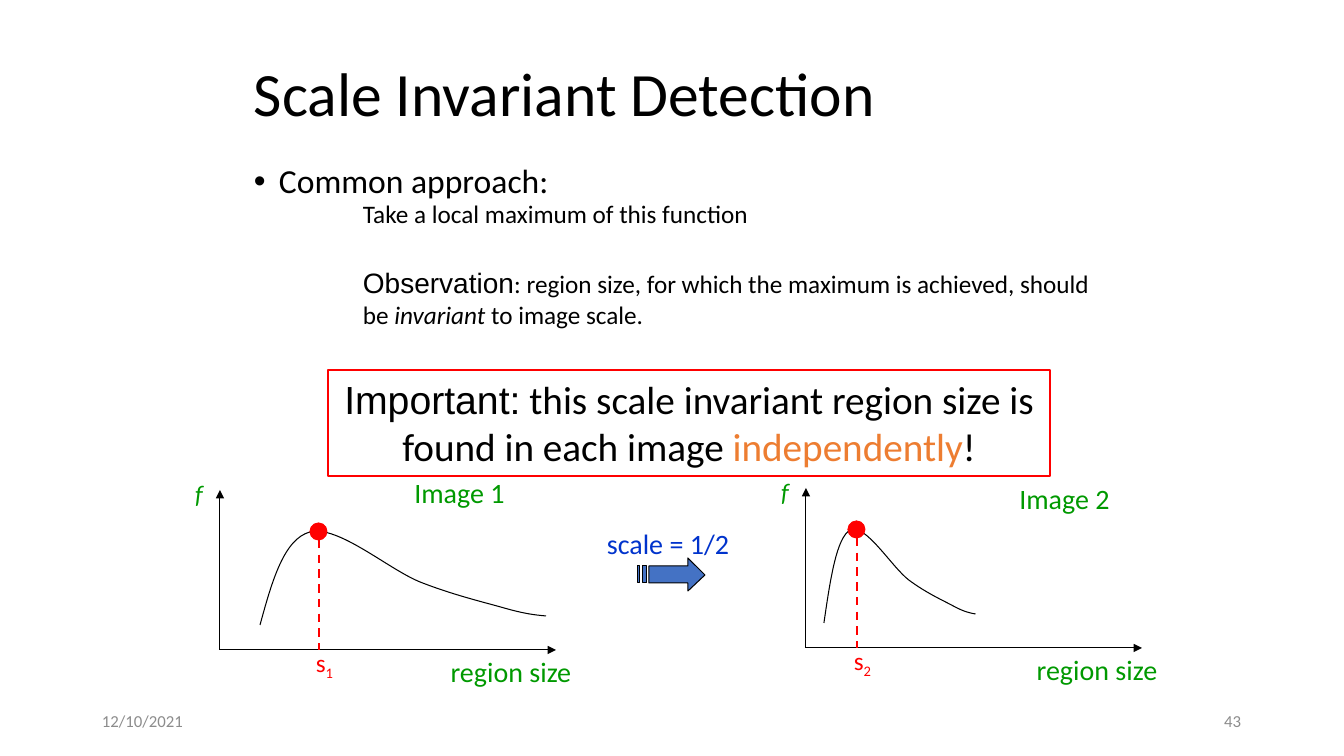
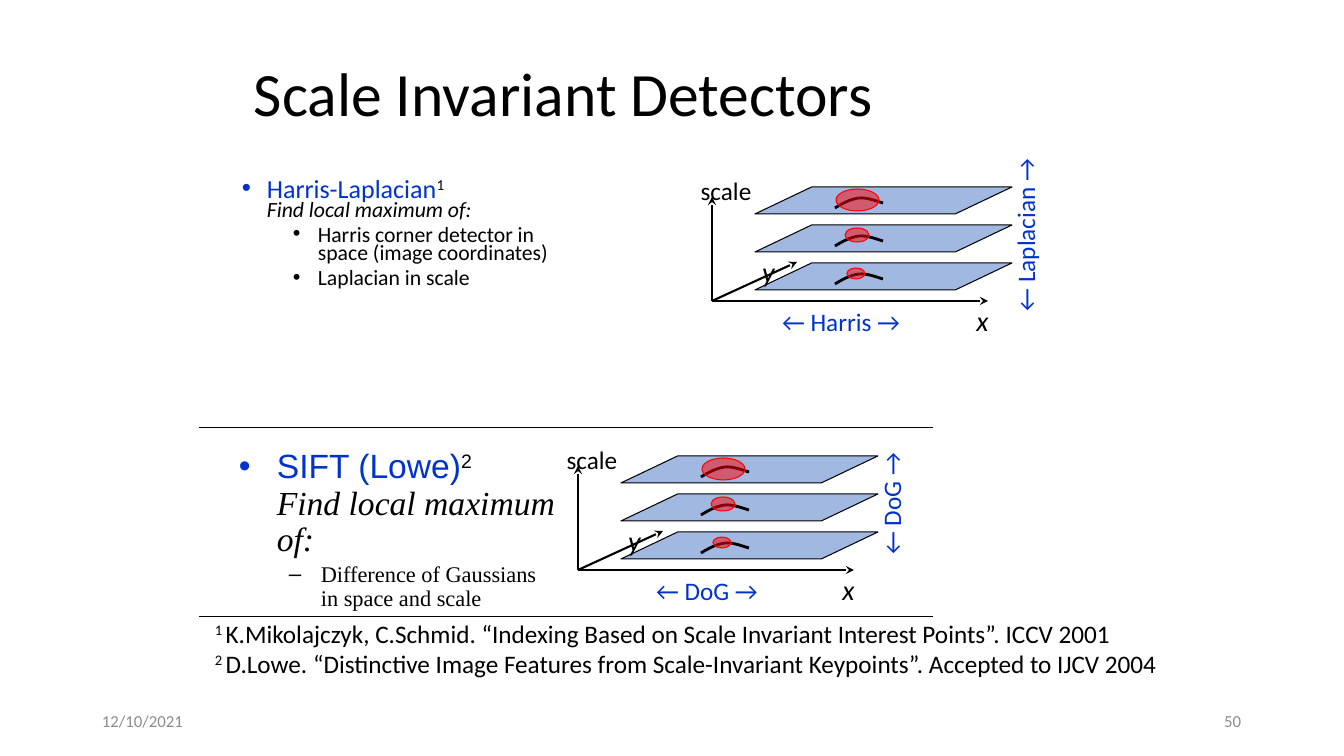
from lxml import etree
from pptx import Presentation
from pptx.dml.color import RGBColor
from pptx.enum.dml import MSO_LINE
from pptx.enum.shapes import MSO_CONNECTOR, MSO_SHAPE
from pptx.enum.text import MSO_ANCHOR, PP_ALIGN
from pptx.oxml.ns import qn
from pptx.util import Emu, Pt

PIXEL = 914400 / 100.8
BLACK, RED, GREEN, BLUE = "000000", "FF0000", "009900", "0033CC"
STEEL, ORANGE, GRAY = "4472C4", "ED7D31", "8C8C8C"
BODY_FONT, SANS_FONT, SERIF_FONT = "Calibri", "Arial", "Times New Roman"
LEFT, CENTER, RIGHT = PP_ALIGN.LEFT, PP_ALIGN.CENTER, PP_ALIGN.RIGHT
TOP, MIDDLE = MSO_ANCHOR.TOP, MSO_ANCHOR.MIDDLE
RECTANGLE, ELLIPSE = MSO_SHAPE.RECTANGLE, MSO_SHAPE.OVAL
PARALLELOGRAM = MSO_SHAPE.PARALLELOGRAM
STRAIGHT, DASH = MSO_CONNECTOR.STRAIGHT, MSO_LINE.DASH
BREAK = ("\n", {})

RESPONSE = [(0, 100), (12, 56), (24, 14), (50, 7), (78, 0), (128, 44), (160, 57),
            (193, 70), (223, 77), (244, 83), (265, 89), (275, 90), (286, 91)]
RIDGE = [(0, 11), (8, 6), (16, 2), (24, 1), (32, 0), (44, 5), (48, 6)]
ARROW = [[(50, 0), (50, 8), (11, 8), (11, 25), (50, 25), (50, 33), (67, 17)],
         [(5, 8), (5, 25), (9, 25), (9, 8)],
         [(0, 8), (0, 25), (2, 25), (2, 8)]]


def px(length):
    """Turn pixels into EMU."""
    return Emu(round(length * PIXEL))


def color(value):
    """Turn a hex string into a colour."""
    return RGBColor.from_string(value)


def add_run(paragraph, text, size=18, fill=BLACK, font=BODY_FONT, italic=False, base=0):
    """Add one styled run, or a line break."""
    if text == "\n":
        paragraph.add_line_break()
        return
    run = paragraph.add_run()
    run.text = text
    run.font.size = Pt(size)
    run.font.name = font
    run.font.italic = italic
    run.font.color.rgb = color(fill)
    if base:
        run.font._element.set("baseline", str(base * 1000))


def add_bullet(paragraph, character, margin, hanging):
    """Give a paragraph a bullet and a hanging indent in pixels."""
    properties = paragraph._p.get_or_add_pPr()
    properties.set("marL", str(px(margin)))
    properties.set("indent", str(-px(hanging)))
    etree.SubElement(properties, qn("a:buFont")).set("typeface", SANS_FONT)
    etree.SubElement(properties, qn("a:buChar")).set("char", character)


def write(frame, paragraphs, align=LEFT, anchor=TOP, wrap=True, spacing=None):
    """Fill a text frame with paragraphs of (runs, space before, bullet)."""
    frame.word_wrap = wrap
    frame.vertical_anchor = anchor
    for index, (runs, before, bullet) in enumerate(paragraphs):
        paragraph = frame.add_paragraph() if index else frame.paragraphs[0]
        paragraph.alignment = align
        paragraph.space_before = Pt(before)
        if spacing:
            paragraph.line_spacing = spacing
        if bullet:
            add_bullet(paragraph, *bullet)
        for text, style in runs:
            add_run(paragraph, text, **style)


def add_text(slide, box, paragraphs, **layout):
    """Add a text box."""
    shape = slide.shapes.add_textbox(*map(px, box))
    write(shape.text_frame, paragraphs, **layout)
    return shape


def add_label(slide, box, *runs):
    """Add a centred one-line label."""
    return add_text(slide, box, [(runs, 0, None)], align=CENTER, wrap=False)


def paint(shape, fill=None, line=BLACK, width=0.75):
    """Set the fill and outline of a shape and drop its shadow."""
    shape.shadow.inherit = False
    if fill:
        shape.fill.solid()
        shape.fill.fore_color.rgb = color(fill)
    else:
        shape.fill.background()
    shape.line.color.rgb = color(line)
    shape.line.width = Pt(width)


def add_figure(slide, kind, box, fill=None, line=BLACK, width=0.75, alpha=None):
    """Add a preset shape with an optional translucent fill."""
    shape = slide.shapes.add_shape(kind, *map(px, box))
    paint(shape, fill, line, width)
    if alpha:
        swatch = shape._element.spPr.find(qn("a:solidFill")).find(qn("a:srgbClr"))
        etree.SubElement(swatch, qn("a:alpha")).set("val", str(alpha * 1000))
    return shape


def add_line(slide, start, end, line=BLACK, width=0.75, dash=None, arrow=None):
    """Add a straight line with an optional arrowhead."""
    connector = slide.shapes.add_connector(STRAIGHT, *map(px, (*start, *end)))
    connector.line.color.rgb = color(line)
    connector.line.width = Pt(width)
    if dash:
        connector.line.dash_style = dash
    properties = connector._element.spPr
    if arrow:
        etree.SubElement(properties.find(qn("a:ln")), qn("a:tailEnd")).set("type", arrow)
    etree.SubElement(properties, qn("a:effectLst"))


def add_outline(slide, left, top, contours, close, stretch=1):
    """Build a freeform from contours relative to a corner."""
    placed = [[(px(left + x * stretch), px(top + y)) for x, y in contour] for contour in contours]
    builder = slide.shapes.build_freeform(*placed[0][0], scale=1.0)
    for index, points in enumerate(placed):
        if index:
            builder.move_to(*points[0])
        builder.add_line_segments(points[1:], close=close)
    return builder.convert_to_shape()


def add_curve(slide, left, top, points, stretch=1, width=0.75):
    """Draw a chain of cubic curves, stretched sideways."""
    shape = add_outline(slide, left, top, [points], False, stretch)
    segments = list(shape._element.iter(qn("a:lnTo")))
    for first in range(0, len(segments), 3):
        cubic = etree.Element(qn("a:cubicBezTo"))
        segments[first].addprevious(cubic)
        for segment in segments[first:first + 3]:
            cubic.append(segment[0])
            segment.getparent().remove(segment)
    paint(shape, width=width)


def add_frame(presentation, title, number):
    """Add a slide with its title, date and number."""
    slide = presentation.slides.add_slide(presentation.slide_layouts[6])
    add_text(slide, (244, 34, 857, 126), [([(title, {"size": 44})], 0, None)],
             anchor=MIDDLE, spacing=0.9)
    for left, text, align in ((92, "12/10/2021", LEFT), (949, number, RIGHT)):
        add_text(slide, (left, 701, 302, 40), [([(text, {"size": 12, "fill": GRAY})], 0, None)],
                 align=align, anchor=MIDDLE)
    return slide


def add_response_plot(slide, left, base, index, caption, curve_left, stretch, peak):
    """Draw one response plot from its axis origin."""
    green = {"size": 20, "fill": GREEN}
    red = {"fill": RED}
    for end in ((left + 336, base), (left, base - 160)):
        add_line(slide, (left, base), end, arrow="triangle")
    add_label(slide, (left - 43, base - 177, 44, 40), ("f", {"fill": GREEN, "italic": True}))
    add_label(slide, (left + 220, base, 142, 43), ("region size", green))
    add_label(slide, (left + caption[0], base + caption[1], 111, 43), (f"Image {index}", green))
    add_curve(slide, left + curve_left, base - 125, RESPONSE, stretch)
    add_figure(slide, ELLIPSE, (left + peak - 9, base - 127, 17, 17), RED, RED)
    add_line(slide, (left + peak, base - 110), (left + peak, base), RED, 1.5, DASH)
    add_label(slide, (left + peak - 14, base - 8, 39, 40),
              ("s", red), (str(index), {**red, "base": -25}))


def add_scale_arrow(slide, left, top):
    """Draw the scale arrow and its label."""
    paint(add_outline(slide, left + 42, top + 36, ARROW, True), STEEL)
    add_label(slide, (left, top, 144, 44), ("scale = 1/2", {"size": 20, "fill": BLUE}))


def add_scale_space(slide, left, base, across, upward):
    """Draw stacked image layers and axes; each label is a name and a width."""
    ellipses = ((81, 2, 43, 22), (90, 3, 24, 14), (92, 5, 18, 11))
    for row, (x, y, width, height) in enumerate(ellipses):
        layer_left, layer_top = left + 43, base - 114 + 38 * row
        layer = add_figure(slide, PARALLELOGRAM, (layer_left, layer_top, 257, 27), STEEL, alpha=50)
        layer.adjustments[0] = 2.1
        add_curve(slide, layer_left + 80, layer_top + 10, RIDGE, width=2)
        add_figure(slide, ELLIPSE, (layer_left + x, layer_top + y, width, height), RED, RED, alpha=50)
    for x, y in ((0, -104), (276, 0), (85, -39)):
        add_line(slide, (left, base), (left + x, base + y), width=1.5, arrow="stealth")
    italic = {"size": 20, "italic": True}
    add_label(slide, (left - 22, base - 131, 72, 40), ("scale", {}))
    add_label(slide, (left + 254, base - 2, 33, 43), ("x", italic))
    add_label(slide, (left + 40, base - 51, 33, 44), ("y", italic))
    for (name, width), x, y, angle in ((across, 129, 20, 0), (upward, 313, -66, 270)):
        label = add_label(slide, (left + x - width / 2, base + y - 20, width, 40),
                          (f"← {name} →", {"fill": BLUE}))
        label.rotation = angle


def build_detection(presentation):
    """Build the slide on scale invariant detection."""
    slide = add_frame(presentation, "Scale Invariant Detection", "43")
    add_text(slide, (244, 160, 857, 454),
             [([("Common approach:", {"size": 24})], 0, ("•", 25, 25))], spacing=0.9)
    add_text(slide, (353, 193, 410, 40),
             [([("Take a local maximum of this function", {})], 0, None)], wrap=False)
    observation = [("Observation", {"size": 20, "font": SANS_FONT}),
                   (": region size, for which the maximum is achieved, should be ", {}),
                   ("invariant", {"italic": True}), (" to image scale.", {})]
    add_text(slide, (353, 261, 757, 75), [(observation, 4, None)])
    add_scale_arrow(slide, 596, 522)
    add_response_plot(slide, 220, 650, 1, (184, -179), 40, 1, 99)
    add_response_plot(slide, 806, 648, 2, (203, -171), 18, 0.53, 51)
    large = {"size": 28}
    important = [("Important:", {**large, "font": SANS_FONT}),
                 (" this scale invariant region size is found in each image ", large),
                 ("independently", {**large, "fill": ORANGE}), ("!", large)]
    banner = add_figure(slide, RECTANGLE, (328, 370, 722, 106), line=RED, width=1.5)
    write(banner.text_frame, [(important, 0, None)], align=CENTER)


def build_detectors(presentation):
    """Build the slide comparing two detectors."""
    slide = add_frame(presentation, "Scale Invariant Detectors", "50")
    small = {"size": 15.5}
    add_text(slide, (232, 176, 337, 147), [
        ([("Harris-Laplacian", {"size": 18.6, "fill": BLUE}), ("1", {"size": 18.6, "base": 30}), BREAK,
          ("Find local maximum of:", {**small, "italic": True})], 0, ("•", 25, 25)),
        ([("Harris corner detector in space (image coordinates)", small)], 5, ("•", 76, 25)),
        ([("Laplacian in scale", small)], 5, ("•", 76, 25))], spacing=0.7)
    sans = {"size": 24, "font": SANS_FONT}
    add_text(slide, (229, 445, 337, 147), [
        ([("SIFT (Lowe)", {**sans, "fill": BLUE}), ("2", {**sans, "base": 30}), BREAK,
          ("Find local maximum of:", {"size": 24, "font": SERIF_FONT, "italic": True})],
         0, ("•", 38, 38)),
        ([("Difference of Gaussians in space and scale", {"size": 16, "font": SERIF_FONT})],
         3, ("–", 82, 32))], spacing=0.9)
    add_scale_space(slide, 712, 301, ("Harris", 144), ("Laplacian", 178))
    add_scale_space(slide, 578, 570, ("DoG", 127), ("DoG", 127))
    for y in (428, 617):
        add_line(slide, (199, y), (933, y))
    raised = {"base": 30}
    references = [
        ("1 ", raised),
        ("K.Mikolajczyk, C.Schmid. “Indexing Based on Scale Invariant Interest Points”. ICCV 2001", {}),
        BREAK, ("2 ", raised),
        ("D.Lowe. “Distinctive Image Features from Scale-Invariant Keypoints”. Accepted to IJCV 2004", {})]
    add_text(slide, (205, 613, 997, 71), [(references, 0, None)], wrap=False)


def main():
    """Build and save the presentation."""
    presentation = Presentation()
    presentation.slide_width, presentation.slide_height = px(1344), px(756)
    build_detection(presentation)
    build_detectors(presentation)
    presentation.save("out.pptx")


main()
